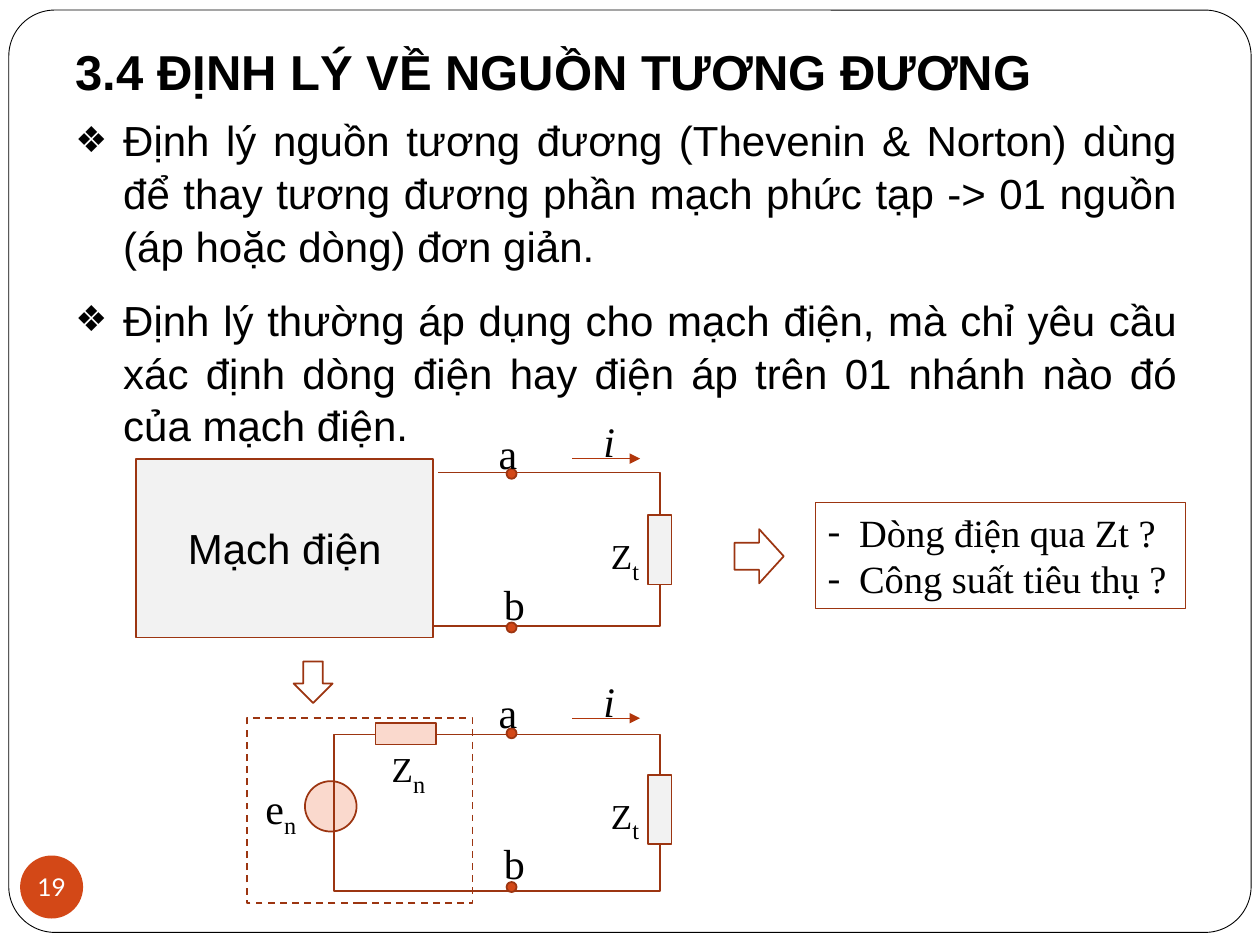
from dataclasses import dataclass

from lxml import etree
from pptx import Presentation
from pptx import util as u
from pptx.dml.color import RGBColor
from pptx.enum import dml, shapes, text
from pptx.oxml.ns import qn

SHAPE = shapes.MSO_SHAPE
ALIGN = text.PP_ALIGN
ANCHOR = text.MSO_ANCHOR
COLUMNS, ROWS = 100, 75


@dataclass(frozen=True)
class Theme:
    ink: str = "000000"
    paper: str = "FFFFFF"
    accent: str = "D34817"
    outline: str = "9C3511"
    arrow: str = "B1360B"
    load: str = "F2F2F2"
    source: str = "FAD9CD"
    sans: str = "Arial"
    serif: str = "Times New Roman"
    number: str = "Lato"
    title_size: int = 28
    body_size: int = 24
    question_size: int = 22
    symbol_size: int = 20
    number_size: int = 14


class Board:
    """Draws on one slide; positions are columns and rows of the grid."""

    def __init__(self, prs, theme):
        self.theme = theme
        self.col = prs.slide_width / COLUMNS
        self.row = prs.slide_height / ROWS
        self.s = prs.slides.add_slide(prs.slide_layouts[5])

    def box(self, x, y, w, h):
        return [u.Emu(round(n * unit)) for n, unit in
                zip((x, y, w, h), (self.col, self.row) * 2)]

    def styled_run(self, p, words, size, font, color=None, bold=None,
                   italic=None):
        r = p.add_run()
        r.text = words
        r.font.size, r.font.name = u.Pt(size), font
        r.font.bold, r.font.italic = bold, italic
        r.font.color.rgb = RGBColor.from_string(color or self.theme.ink)
        return r

    def outline(self, sp, fill, line, weight):
        sp.shadow.inherit = False
        if fill:
            sp.fill.solid()
            sp.fill.fore_color.rgb = RGBColor.from_string(fill)
        else:
            sp.fill.background()
        if line:
            sp.line.color.rgb = RGBColor.from_string(line)
            sp.line.width = u.Pt(weight)
        else:
            sp.line.fill.background()
        return sp

    def shape(self, kind, at, fill=None, line=Theme.outline, weight=1):
        sp = self.s.shapes.add_shape(kind, *self.box(*at))
        return self.outline(sp, fill, line, weight)

    def caption(self, sp, words, size, font, color=None):
        tf = sp.text_frame
        tf.vertical_anchor = ANCHOR.MIDDLE
        p = tf.paragraphs[0]
        p.alignment = ALIGN.CENTER
        self.styled_run(p, words, size, font, color)

    def title(self, words, at):
        t, sp = self.theme, self.s.shapes.title
        sp.left, sp.top, sp.width, sp.height = self.box(*at)
        tf = sp.text_frame
        tf.vertical_anchor = ANCHOR.MIDDLE
        tf.margin_bottom = u.Inches(0.1)
        p = tf.paragraphs[0]
        p.alignment = ALIGN.LEFT
        self.styled_run(p, words, t.title_size, t.sans, bold=True)

    def textbox(self, at):
        sp = self.s.shapes.add_textbox(*self.box(*at))
        sp.text_frame.word_wrap = True
        return sp

    def bullets(self, sp, items, char, indent, size, font, scale=100,
                align=ALIGN.LEFT, gap=0, spacing=None):
        tf = sp.text_frame
        tf.vertical_anchor = ANCHOR.TOP
        for i, words in enumerate(items):
            p = tf.add_paragraph() if i else tf.paragraphs[0]
            pPr = p._p.get_or_add_pPr()
            pPr.set("marL", str(u.Inches(indent)))
            pPr.set("indent", str(-u.Inches(indent)))
            etree.SubElement(pPr, qn("a:buSzPct"), val=str(scale * 1000))
            etree.SubElement(pPr, qn("a:buFont"), typeface=font)
            etree.SubElement(pPr, qn("a:buChar"), char=char)
            p.alignment = align
            if spacing:
                p.line_spacing = spacing
            if i:
                p.space_before = u.Pt(gap)
            self.styled_run(p, words, size, font)

    def label(self, x, y, words, sub="", size=Theme.body_size, italic=None,
              align=ALIGN.LEFT):
        t = self.theme
        p = self.textbox((x, y, 4.9, 4.8)).text_frame.paragraphs[0]
        p.alignment = align
        self.styled_run(p, words, size, t.serif, italic=italic)
        if sub:
            r = self.styled_run(p, sub, t.body_size, t.serif)
            r._r.get_or_add_rPr().set("baseline", "-25000")

    def wire(self, points):
        pts = [self.box(x, y, 0, 0)[:2] for x, y in points]
        fb = self.s.shapes.build_freeform(*pts[0], scale=1.0)
        fb.add_line_segments(pts[1:], close=False)
        self.outline(fb.convert_to_shape(), None, self.theme.outline, 1)

    def arrow(self, x1, x2, y):
        ends = self.box(x1, y, x2, y)
        c = self.s.shapes.add_connector(shapes.MSO_CONNECTOR.STRAIGHT, *ends)
        c.line.color.rgb = RGBColor.from_string(self.theme.arrow)
        c.line.width = u.Pt(0.75)
        spPr = c._element.spPr
        etree.SubElement(spPr.find(qn("a:ln")), qn("a:tailEnd"),
                         type="triangle")
        etree.SubElement(spPr, qn("a:effectLst"))

    def load_branch(self, top):
        """Terminals a and b, current i and load Zt below the row `top`."""
        t = self.theme
        self.shape(SHAPE.RECTANGLE, (51.4, top + 4.5, 1.9, 5.5), t.load)
        for y in (0.8, 13):
            self.shape(SHAPE.OVAL, (40.2, top + y, 0.8, 0.8), t.accent)
        self.label(38.6, top - 3, "a")
        self.label(39, top + 9, "b")
        self.label(47.5, top + 5, "Z", "t", t.symbol_size)
        self.arrow(45.4, 50.8, top)
        self.label(46.9, top - 3.9, "i", italic=True)


def main():
    prs = Presentation()
    prs.slide_width, prs.slide_height = u.Inches(10), u.Inches(7.5)
    t = Theme()
    b = Board(prs, t)

    frame = b.shape(SHAPE.ROUNDED_RECTANGLE, (0.7, 0.8, 98.6, 73.2),
                    line=t.ink, weight=0.5)
    frame.adjustments[0] = 0.05
    badge = b.shape(SHAPE.OVAL, (1.6, 67.9, 5, 5), t.accent, line=None)
    tf = badge.text_frame
    tf.margin_left = tf.margin_right = tf.margin_top = tf.margin_bottom = 0
    tf.word_wrap = False
    b.caption(badge, "19", t.number_size, t.number, t.paper)

    b.title("3.4 ĐỊNH LÝ VỀ NGUỒN TƯƠNG ĐƯƠNG", (5, 2.5, 89.2, 6.7))
    b.bullets(b.textbox((5, 8.4, 89.4, 26.8)), (
        "Định lý nguồn tương đương (Thevenin & Norton) dùng để thay tương "
        "đương phần mạch phức tạp -> 01 nguồn (áp hoặc dòng) đơn giản.",
        "Định lý thường áp dụng cho mạch điện, mà chỉ yêu cầu xác định dòng "
        "điện hay điện áp trên 01 nhánh nào đó của mạch điện.",
    ), "❖", 0.38, t.body_size, t.sans, 85, ALIGN.JUSTIFY, 12, 1.05)

    # Full circuit with its load
    circuit = b.shape(SHAPE.RECTANGLE, (10.8, 36.4, 23.6, 14.2), t.load)
    b.caption(circuit, "Mạch điện", t.body_size, t.sans)
    b.wire([(34.8, 37.5), (52.4, 37.5), (52.4, 49.7), (34.3, 49.7)])
    b.load_branch(36.4)

    # Quantities to find
    b.shape(SHAPE.RIGHT_ARROW, (58.3, 42, 3.9, 4.3))
    questions = b.shape(SHAPE.RECTANGLE, (64.7, 39.9, 29.4, 8.4), weight=0.75)
    b.bullets(questions, ("Dòng điện qua Zt ?", "Công suất tiêu thụ ?"),
              "-", 0.25, t.question_size, t.serif)

    # Equivalent source with the same load
    b.shape(SHAPE.DOWN_ARROW, (23.3, 52.5, 3.1, 3.3))
    b.shape(SHAPE.OVAL, (24.2, 62, 4.1, 4), t.source)
    b.shape(SHAPE.RECTANGLE, (26.5, 58.3, 25.9, 12.4))
    b.shape(SHAPE.RECTANGLE, (29.8, 57.4, 4.8, 1.7), t.source)
    b.load_branch(57)
    b.label(19.6, 61.6, "e", "n", align=ALIGN.RIGHT)
    b.label(30.1, 58.3, "Z", "n", t.symbol_size)
    source = b.shape(SHAPE.RECTANGLE, (19.6, 57, 17.9, 14.7))
    source.line.dash_style = dml.MSO_LINE.DASH

    prs.save("out.pptx")


if __name__ == "__main__":
    main()
